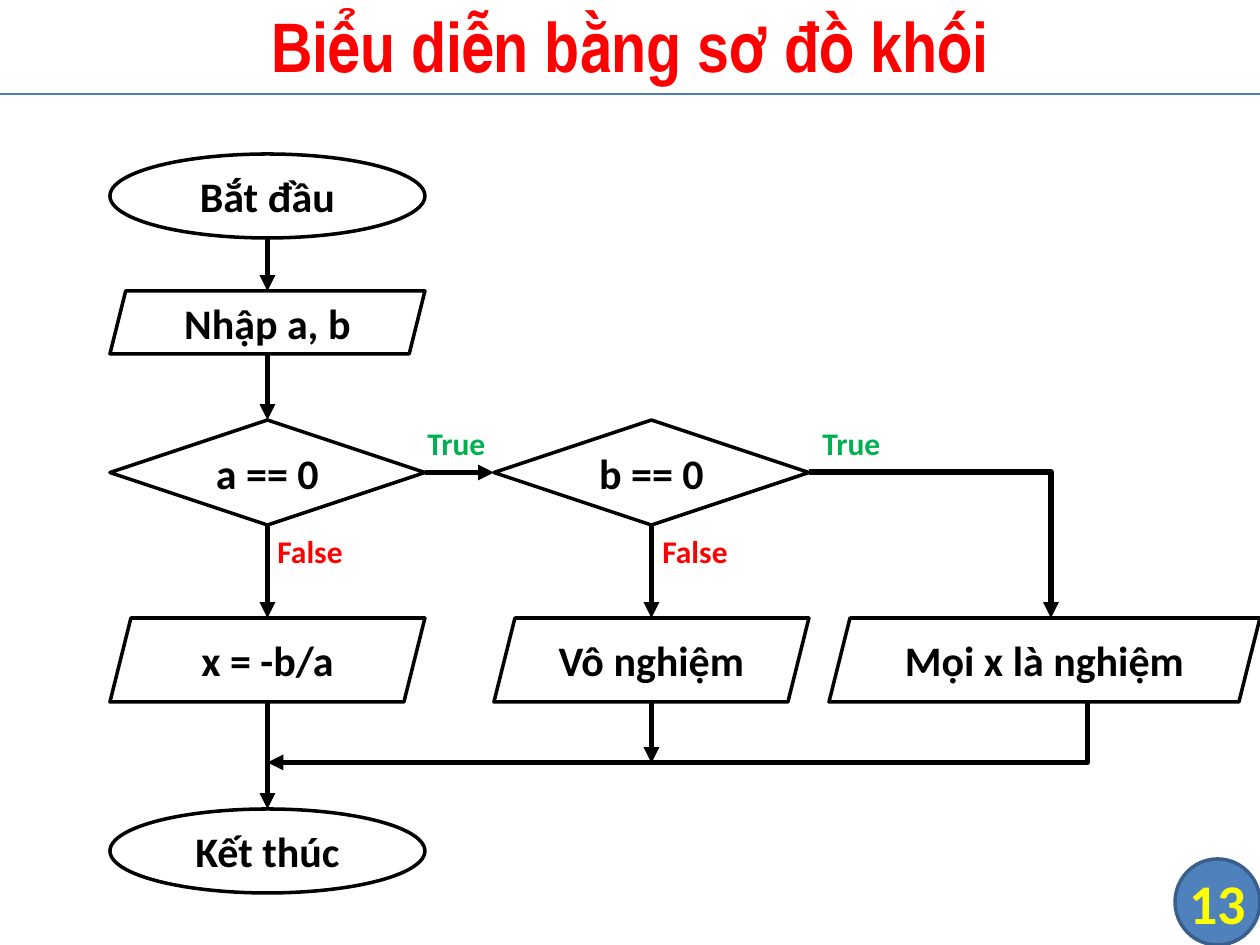
import pptx
import pptx.util
import pptx.dml.color
import pptx.enum.shapes
import pptx.enum.text
import pptx.oxml
import pptx.oxml.ns

RGBColor = pptx.dml.color.RGBColor
BLACK = RGBColor(0x00, 0x00, 0x00)
WHITE = RGBColor(0xFF, 0xFF, 0xFF)
RED = RGBColor(0xFF, 0x00, 0x00)
GREEN = RGBColor(0x00, 0xB0, 0x50)
YELLOW = RGBColor(0xFF, 0xFF, 0x00)
BLUE = RGBColor(0x4F, 0x81, 0xBD)
DARK_BLUE = RGBColor(0x3A, 0x5F, 0x8C)
RULE_BLUE = RGBColor(0x4B, 0x7E, 0xBC)

Shape = pptx.enum.shapes.MSO_SHAPE
Connector = pptx.enum.shapes.MSO_CONNECTOR
CENTER = pptx.enum.text.PP_ALIGN.CENTER
LEFT = pptx.enum.text.PP_ALIGN.LEFT
MIDDLE = pptx.enum.text.MSO_ANCHOR.MIDDLE
TOP = pptx.enum.text.MSO_ANCHOR.TOP
PX = 914400 / 126


def write(box, text, size, color, name="Calibri", align=CENTER, frame_format=None):
    frame = box.text_frame
    settings = {"vertical_anchor": MIDDLE, "word_wrap": True, **(frame_format or {})}
    for key, value in settings.items():
        setattr(frame, key, value)
    para = frame.paragraphs[0]
    para.alignment = align
    span = para.add_run()
    span.text = text
    font_format = {"name": name, "size": pptx.util.Pt(size), "bold": True}
    for key, value in font_format.items():
        setattr(span.font, key, value)
    span.font.color.rgb = color


def draw_line(kind, ends, color=BLACK, width=3, arrow=True):
    line = page.shapes.add_connector(kind, *[round(end * PX) for end in ends])
    line.line.color.rgb = color
    line.line.width = pptx.util.Pt(width)
    properties = line._element.spPr
    if arrow:
        tail = pptx.oxml.parse_xml(
            f'<a:tailEnd {pptx.oxml.ns.nsdecls("a")} type="triangle"/>')
        line.line._get_or_add_ln().append(tail)
    properties.append(pptx.oxml.parse_xml(
        f'<a:effectLst {pptx.oxml.ns.nsdecls("a")}/>'))
    return line


deck = pptx.Presentation()
deck.slide_width = round(1260 * PX)
deck.slide_height = round(945 * PX)
page = deck.slides.add_slide(deck.slide_layouts[5])

title = page.shapes.title
title_place = {"left": 0, "top": -4, "width": 1260, "height": 98}
for key, value in title_place.items():
    setattr(title, key, round(value * PX))
write(title, "Biểu diễn bằng sơ đồ khối", 40, RED, "Arial Narrow")
draw_line(Connector.STRAIGHT, (0, 94, 1260, 94), RULE_BLUE, 0.75, False)

COLUMN_A, COLUMN_B, COLUMN_C = 110, 494, 829
NODE_WIDTH = 315
MIDDLE_A = COLUMN_A + NODE_WIDTH / 2
MIDDLE_B = COLUMN_B + NODE_WIDTH / 2
NO_MARGINS = {f"margin_{side}": 0 for side in ("left", "top", "right", "bottom")}
node_style = (WHITE, BLACK, 24, BLACK, {})
badge_style = (BLUE, DARK_BLUE, 32, YELLOW, NO_MARGINS)
nodes = [
    ("Bắt đầu", Shape.OVAL, COLUMN_A, 154, NODE_WIDTH, 84, node_style),
    ("Nhập a, b", Shape.PARALLELOGRAM, COLUMN_A, 291, NODE_WIDTH, 63, node_style),
    ("a == 0", Shape.DIAMOND, COLUMN_A, 420, NODE_WIDTH, 105, node_style),
    ("x = -b/a", Shape.PARALLELOGRAM, COLUMN_A, 618, NODE_WIDTH, 84, node_style),
    ("Kết thúc", Shape.OVAL, COLUMN_A, 809, NODE_WIDTH, 84, node_style),
    ("b == 0", Shape.DIAMOND, COLUMN_B, 420, NODE_WIDTH, 105, node_style),
    ("Vô nghiệm", Shape.PARALLELOGRAM, COLUMN_B, 618, NODE_WIDTH, 84, node_style),
    ("Mọi x là nghiệm", Shape.PARALLELOGRAM, COLUMN_C, 618, 431, 84, node_style),
    ("13", Shape.FLOWCHART_CONNECTOR, 1175, 859, 85, 86, badge_style),
]
shapes = {}
for text, kind, left, top, width, height, style in nodes:
    fill, outline, size, color, margins = style
    box = page.shapes.add_shape(
        kind, *[round(value * PX) for value in (left, top, width, height)])
    box.shadow.inherit = False
    box.fill.solid()
    box.fill.fore_color.rgb = fill
    box.line.color.rgb = outline
    box.line.width = pptx.util.Pt(2)
    write(box, text, size, color, frame_format=margins)
    shapes[text] = box

arrows = [
    (MIDDLE_A, 238, MIDDLE_A, 291, None, None),
    (MIDDLE_A, 354, MIDDLE_A, 420, None, ("a == 0", 0)),
    (MIDDLE_A, 525, MIDDLE_A, 618, ("a == 0", 2), None),
    (MIDDLE_A, 702, MIDDLE_A, 809, None, None),
    (MIDDLE_B, 525, MIDDLE_B, 618, ("b == 0", 2), None),
    (MIDDLE_B, 702, MIDDLE_B, 763, None, None),
    (425, 472, 494, 472, ("a == 0", 3), ("b == 0", 1)),
]
for *ends, start, finish in arrows:
    arrow = draw_line(Connector.STRAIGHT, ends)
    if start:
        arrow.begin_connect(shapes[start[0]], start[1])
    if finish:
        arrow.end_connect(shapes[finish[0]], finish[1])

for ends, degrees in [((809, 472, 1051, 618), 0), ((647, 322, 708, 1142), 90)]:
    elbow = draw_line(Connector.ELBOW, ends)
    elbow._element.spPr.prstGeom.set("prst", "bentConnector2")
    elbow._element.spPr.xfrm.set("rot", str(degrees * 60000))

labels = [
    ("True", 415, 418, 92, GREEN),
    ("True", 810, 418, 92, GREEN),
    ("False", 265, 526, 107, RED),
    ("False", 650, 526, 107, RED),
]
label_format = {
    "vertical_anchor": TOP,
    "word_wrap": False,
    "auto_size": pptx.enum.text.MSO_AUTO_SIZE.SHAPE_TO_FIT_TEXT,
}
for text, left, top, width, color in labels:
    box = page.shapes.add_textbox(
        *[round(value * PX) for value in (left, top, width, 50)])
    write(box, text, 18, color, align=LEFT, frame_format=label_format)

deck.save("out.pptx")
